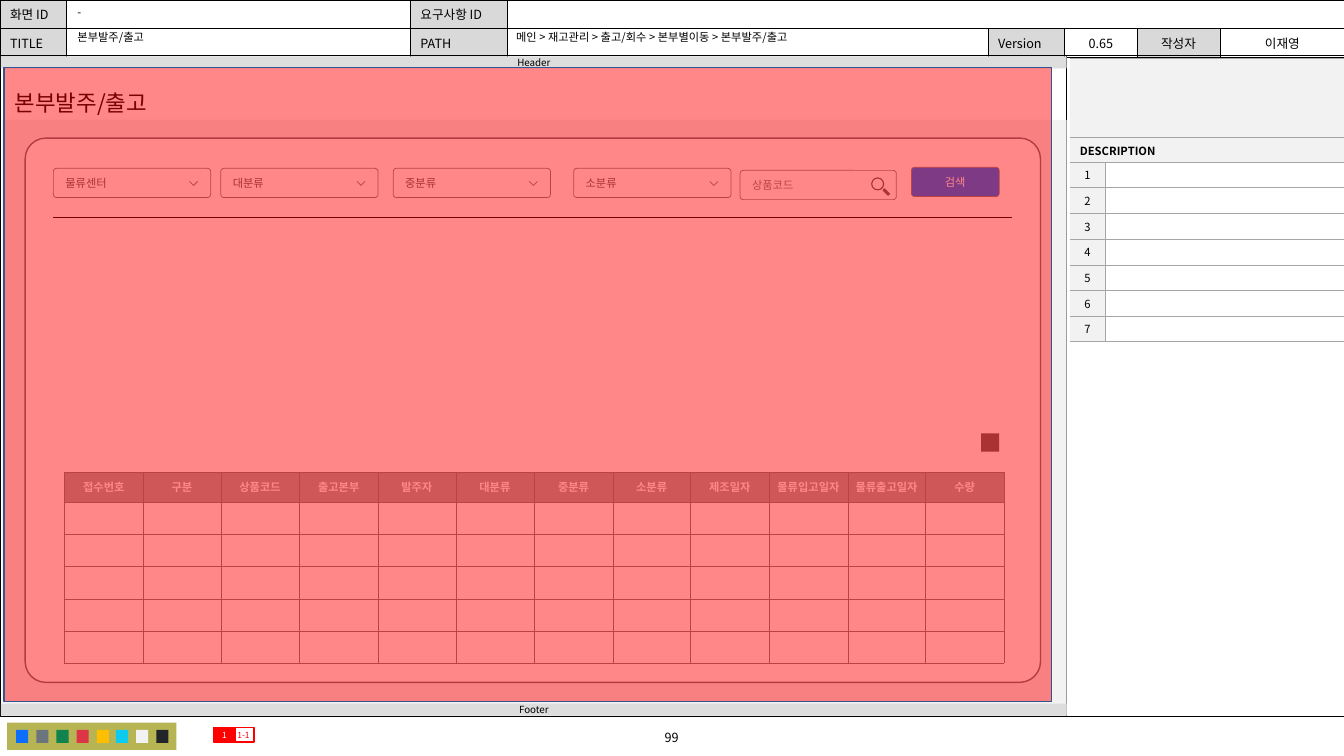
import dataclasses
import typing

import lxml.etree
import pptx
import pptx.dml.color
import pptx.enum.shapes
import pptx.enum.text
import pptx.oxml.ns
import pptx.shapes.autoshape
import pptx.shapes.shapetree
import pptx.table
import pptx.text.text
import pptx.util

SCALE = 9144  # EMU in one px, 100 px to the inch
FONT = "Noto Sans CJK KR"
PLAIN = "{2D5ABB26-0587-4C30-8999-92F81FD0307C}"

RGB = pptx.dml.color.RGBColor
BLACK, WHITE, RED = RGB(0, 0, 0), RGB(255, 255, 255), RGB(255, 0, 0)
PALE, LABEL, BAR = RGB(0xF2, 0xF2, 0xF2), RGB(0xD9, 0xD9, 0xD9), RGB(0xDD, 0xDD, 0xDD)
SILVER, GRAY, DARK = RGB(0xA6, 0xA6, 0xA6), RGB(0x80, 0x80, 0x80), RGB(0x5F, 0x5F, 0x5F)
BLUE, SLATE, NAVY = RGB(0x0D, 0x6E, 0xFD), RGB(0x6C, 0x75, 0x7D), RGB(0x32, 0x54, 0x91)
OLIVE = RGB(0xB7, 0xB5, 0x53)
SWATCHES = [BLUE, SLATE, RGB(0x10, 0x83, 0x4E), RGB(0xDC, 0x35, 0x45),
            RGB(0xFF, 0xBE, 0x00), RGB(0x0D, 0xCA, 0xF0), PALE, RGB(0x21, 0x25, 0x29)]

Kind = pptx.enum.shapes.MSO_SHAPE
Align = pptx.enum.text.PP_ALIGN
MIDDLE = pptx.enum.text.MSO_ANCHOR.MIDDLE
Shapes = pptx.shapes.shapetree.SlideShapes | pptx.shapes.shapetree.GroupShapes
Shape = pptx.shapes.autoshape.Shape
Table = pptx.table.Table
Color = typing.Optional[RGB]


class Area(typing.NamedTuple):
    left: int
    top: int
    width: int
    height: int


class Inset(typing.NamedTuple):
    left: int = 0
    top: int = 0
    right: int = 0
    bottom: int = 0


@dataclasses.dataclass(frozen=True)
class Style:
    size: int
    color: RGB = BLACK
    align: Align = Align.LEFT
    bold: bool = False
    font: str = FONT


class Pick(typing.NamedTuple):
    left: int
    label: str


class Badge(typing.NamedTuple):
    left: int
    label: str
    fill: Color
    ink: RGB


HEAD, HEADMID = Style(9), Style(9, align=Align.CENTER)
NOTE, COUNT = Style(8), Style(8, align=Align.CENTER)
STRIP = Style(7, align=Align.CENTER)
COLUMN = Style(8, WHITE, Align.CENTER, True)

PICKS = [Pick(53, "물류센터"), Pick(219, "대분류"), Pick(390, "중분류"), Pick(569, "소분류")]
BADGES = [Badge(231, "1-1", None, RED), Badge(212, "1", RED, WHITE)]
HEADROWS = [["화면 ID", "", "요구사항 ID", "", "", "", "", ""],
            ["TITLE", "", "PATH", "", "Version", "0.65", "작성자", "이재영"]]
COLUMNS = ["접수번호", "구분", "상품코드", "출고본부", "발주자", "대분류", "중분류",
           "소분류", "제조일자", "물류입고일자", "물류출고일자", "수량"]


def emu(px: int) -> pptx.util.Emu:
    return pptx.util.Emu(px * SCALE)


def split(total: int, count: int) -> list[int]:
    """Share a length out in near-equal whole parts."""
    edges = [round(i * total / count) for i in range(count + 1)]
    return [b - a for a, b in zip(edges, edges[1:])]


def write(frame: pptx.text.text.TextFrame, text: str, style: Style) -> None:
    frame.text = text
    para = frame.paragraphs[0]
    para.alignment = style.align
    qn = pptx.oxml.ns.qn
    for run in para.runs:
        run.font.size = pptx.util.Pt(style.size)
        run.font.name = style.font
        run.font.bold = style.bold
        run.font.color.rgb = style.color
        east = lxml.etree.Element(qn("a:ea"), typeface=FONT)
        run._r.rPr.find(qn("a:latin")).addnext(east)
    if not text:
        lxml.etree.SubElement(para._p, qn("a:endParaRPr"), sz=str(style.size * 100))


def pad(part: typing.Any, inset: Inset) -> None:
    part.margin_left, part.margin_top, part.margin_right, part.margin_bottom = map(emu, inset)


def paint(shape: Shape, fill: Color, line: Color, weight: float) -> None:
    shape.shadow.inherit = False
    if fill is None:
        shape.fill.background()
    else:
        shape.fill.solid()
        shape.fill.fore_color.rgb = fill
    if line is None:
        shape.line.fill.background()
    else:
        shape.line.color.rgb = line
        shape.line.width = pptx.util.Pt(weight)


def block(shapes: Shapes, area: Area, fill: Color = None, line: Color = None,
          weight: float = 0.5, kind: Kind = Kind.RECTANGLE, curve: float = 0) -> Shape:
    shape = shapes.add_shape(kind, *map(emu, area))
    if curve:
        shape.adjustments[0] = curve
    paint(shape, fill, line, weight)
    return shape


def label(shape: Shape, text: str, style: Style, inset: Inset = Inset()) -> None:
    frame = shape.text_frame
    frame.word_wrap = True
    frame.vertical_anchor = MIDDLE
    pad(frame, inset)
    write(frame, text, style)


def words(shapes: Shapes, area: Area, text: str, style: Style,
          space: float = 1.0, wrap: bool = True) -> None:
    frame = shapes.add_textbox(*map(emu, area)).text_frame
    frame.word_wrap = wrap
    frame.vertical_anchor = MIDDLE
    write(frame, text, style)
    frame.paragraphs[0].line_spacing = space


def rule(shapes: Shapes, start: tuple[int, int], end: tuple[int, int]) -> None:
    line = shapes.add_connector(pptx.enum.shapes.MSO_CONNECTOR.STRAIGHT,
                                *map(emu, start + end))
    line.line.color.rgb = BLACK
    line.line.width = pptx.util.Pt(0.5)
    lxml.etree.SubElement(line._element.spPr, pptx.oxml.ns.qn("a:effectLst"))


def grid(shapes: Shapes, left: int, top: int, wides: list[int], highs: list[int]) -> Table:
    area = Area(left, top, sum(wides), sum(highs))
    table = shapes.add_table(len(highs), len(wides), *map(emu, area)).table
    table.first_row = table.horz_banding = False
    table._tbl.tblPr.find(pptx.oxml.ns.qn("a:tableStyleId")).text = PLAIN
    for column, wide in zip(table.columns, wides):
        column.width = emu(wide)
    for row, high in zip(table.rows, highs):
        row.height = emu(high)
    return table


def fit(table: Table, row: int, col: int, text: str, style: Style, fill: Color, edge: RGB,
        weight: float, sides: str = "LRTB", inset: Inset = Inset(10, 5, 10, 5)) -> None:
    cell = table.cell(row, col)
    qn = pptx.oxml.ns.qn
    props = cell._tc.get_or_add_tcPr()
    for side in sides:
        line = lxml.etree.SubElement(props, qn(f"a:ln{side}"), w=str(pptx.util.Pt(weight)))
        solid = lxml.etree.SubElement(line, qn("a:solidFill"))
        lxml.etree.SubElement(solid, qn("a:srgbClr"), val=str(edge))
    if fill is None:
        cell.fill.background()
    else:
        cell.fill.solid()
        cell.fill.fore_color.rgb = fill
    cell.vertical_anchor = MIDDLE
    pad(cell, inset)
    write(cell.text_frame, text, style)


def frame(shapes: Shapes) -> None:
    # Document header table
    table = grid(shapes, 0, 0, [66, 341, 96, 477, 76, 72, 82, 124], [28, 28])
    for r, texts in enumerate(HEADROWS):
        for c, text in enumerate(texts):
            fill = LABEL if text and c in (0, 2, 4, 6) else WHITE
            fit(table, r, c, text, HEADMID if c > 4 else HEAD, fill, BLACK, 0.5)
    table.cell(0, 3).merge(table.cell(0, 7))
    # Page outline, number and divider
    block(shapes, Area(0, 55, 1333, 656), line=BLACK, weight=0.25)
    words(shapes, Area(537, 719, 258, 25), "99", HEADMID)
    rule(shapes, (1058, 56), (1058, 711))
    # Colour palette
    group = shapes.add_group_shape().shapes
    block(group, Area(7, 717, 168, 27), OLIVE)
    left = 16
    for color, step in zip(SWATCHES, split(159, len(SWATCHES))):
        block(group, Area(left, 724, 12, 13), color)
        left += step
    # Canvas with its footer and header strips
    block(shapes, Area(2, 119, 1056, 591), PALE)
    for top, text in ((698, "Footer"), (56, "Header")):
        label(block(shapes, Area(1, top, 1057, 12), BAR), text, STRIP)


def notes(shapes: Shapes) -> None:
    table = grid(shapes, 1061, 58, [35, 237], [78, 25] + split(178, 7))
    for r in range(9):
        for c in range(2):
            if r < 2:
                text = "DESCRIPTION" if (r, c) == (1, 0) else ""
                fit(table, r, c, text, Style(8, bold=True), PALE, SILVER, 0.5, "TB")
            else:
                fit(table, r, c, "" if c else str(r - 1), COUNT, None if c else PALE,
                    SILVER, 0.5, "LRTB" if c else "RTB", Inset())
    for r in range(2):
        table.cell(r, 0).merge(table.cell(r, 1))


def search(shapes: Shapes) -> None:
    rounded = Kind.ROUNDED_RECTANGLE
    button = block(shapes, Area(904, 166, 87, 29), BLUE, GRAY, 0.5, rounded, 0.108)
    label(button, "검색", Style(8, WHITE, Align.CENTER, font="Cabin"), Inset(11, 7, 11, 7))
    rule(shapes, (53, 216), (1004, 216))
    # Drop-down lists
    for pick in PICKS:
        group = shapes.add_group_shape().shapes
        box = block(group, Area(pick.left, 167, 156, 29), WHITE, GRAY, 0.5, rounded, 0.108)
        label(box, pick.label, Style(8, DARK, font="Cabin"), Inset(11, 7, 30, 7))
        tip = pick.left + 139
        pen = group.build_freeform(tip + 4, 180, scale=SCALE)
        pen.add_line_segments([(tip, 184), (tip - 4, 180)], close=False)
        paint(pen.convert_to_shape(), None, GRAY, 0.5)
    # Code field with magnifier
    box = block(shapes, Area(734, 169, 155, 29), WHITE, GRAY, 0.5, rounded, 0.108)
    label(box, "상품코드", Style(8, GRAY, font="Cabin"), Inset(11, 7, 11, 7))
    block(shapes, Area(864, 176, 13, 13), DARK, kind=Kind.DONUT, curve=0.09)
    block(shapes, Area(875, 189, 8, 3), DARK, kind=rounded, curve=0.3).rotation = 45


def main() -> None:
    deck = pptx.Presentation()
    deck.slide_width, deck.slide_height = emu(1333), emu(750)
    shapes = deck.slides.add_slide(deck.slide_layouts[6]).shapes
    frame(shapes)
    block(shapes, Area(25, 137, 1007, 540), WHITE, SLATE, 1, Kind.ROUNDED_RECTANGLE, 0.038)
    notes(shapes)
    # Header values, badges and screen title
    words(shapes, Area(502, 26, 474, 23),
          "메인 > 재고관리 > 출고/회수 > 본부별이동 > 본부발주/출고", NOTE, 0.9)
    words(shapes, Area(67, 1, 340, 23), "-", NOTE, 0.9)
    words(shapes, Area(67, 28, 338, 20), "본부발주/출고", NOTE, 0.9)
    for badge in BADGES:
        box = block(shapes, Area(badge.left, 722, 21, 14), badge.fill, RED, 1)
        label(box, badge.label, Style(6, badge.ink, Align.CENTER))
    words(shapes, Area(5, 83, 164, 37), "본부발주/출고", Style(16), wrap=False)
    # Order list and its export button
    table = grid(shapes, 64, 468, split(932, len(COLUMNS)), [30] + [32] * 5)
    for r in range(6):
        for c, text in enumerate(COLUMNS):
            fit(table, r, c, "" if r else text, COLUMN, None if r else SILVER,
                GRAY, 0.25, inset=Inset(6, 4, 6, 4))
    block(shapes, Area(973, 430, 18, 18), DARK)
    search(shapes)
    # Red veil over the whole screen
    veil = block(shapes, Area(4, 67, 1039, 629), RED, NAVY, 1)
    tint = veil._element.spPr.find(".//" + pptx.oxml.ns.qn("a:srgbClr"))
    lxml.etree.SubElement(tint, pptx.oxml.ns.qn("a:alpha"), val="47000")
    deck.save("out.pptx")


if __name__ == "__main__":
    main()
